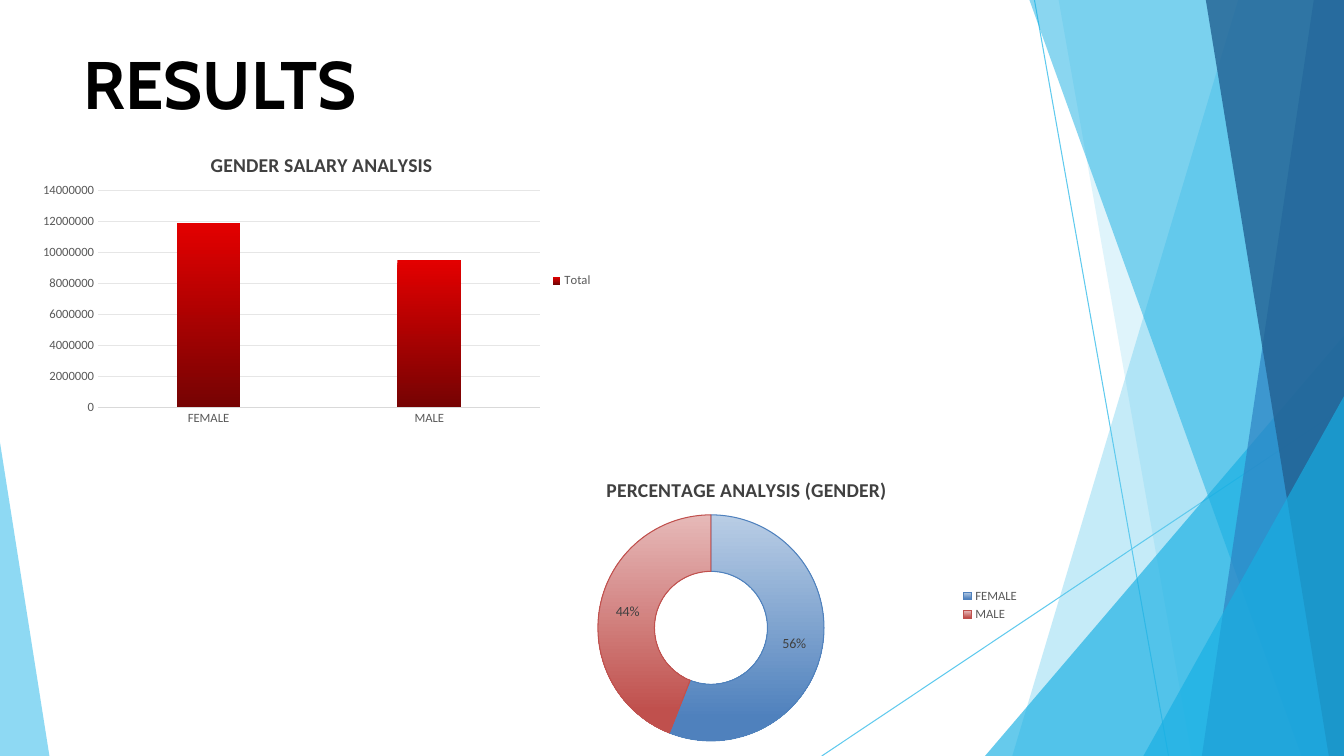
from lxml import etree
from pptx import Presentation
from pptx.chart.data import CategoryChartData
from pptx.dml.color import RGBColor
from pptx.enum.chart import XL_CHART_TYPE, XL_LEGEND_POSITION, XL_TICK_MARK
from pptx.enum.shapes import MSO_CONNECTOR
from pptx.oxml import parse_xml
from pptx.oxml.ns import nsdecls, qn
from pptx.util import Inches, Pt

COLUMN, RING = XL_CHART_TYPE.COLUMN_CLUSTERED, XL_CHART_TYPE.DOUGHNUT
RIGHT, NO_TICK = XL_LEGEND_POSITION.RIGHT, XL_TICK_MARK.NONE
STRAIGHT = MSO_CONNECTOR.STRAIGHT
WIDE, HIGH = 13.33, 7.5

COLORS = {
    "sky": "5FCAEE", "cyan": "17AFE3", "blue": "2D83C3", "navy": "226192",
    "black": "000000", "dark": "404040", "gray": "595959",
    "axis": "D9D9D9", "grid": "E6E6E6", "red": "E30000", "wine": "760303",
    "pale": "B9CDE5", "steel": "4F81BD", "pink": "E6B9B8", "brick": "C0504D",
}
LINES = [(10.26, 0, 11.59, HIGH), (WIDE, 4.04, 8.15, HIGH)]
PANELS = [
    ("sky", 36, [(WIDE, 0), (12.28, 0), (10.04, HIGH), (WIDE, HIGH)]),
    ("sky", 20, [(WIDE, 0), (10.5, 0), (11.82, HIGH), (WIDE, HIGH)]),
    ("cyan", 66, [(WIDE, 3.33), (9.77, HIGH), (WIDE, HIGH)]),
    ("cyan", 50, [(WIDE, 0), (10.21, 0), (12.91, HIGH), (WIDE, HIGH)]),
    ("blue", 70, [(WIDE, 0), (13.03, 0), (11.92, HIGH), (WIDE, HIGH)]),
    ("navy", 80, [(WIDE, 0), (11.96, 0), (13.18, HIGH), (WIDE, HIGH)]),
    ("cyan", 66, [(WIDE, 3.93), (11.34, HIGH), (WIDE, HIGH)]),
    ("sky", 70, [(0, 4.39), (0, HIGH), (0.49, HIGH)]),
]
HEADING = "RESULTS"
GENDERS = ["FEMALE", "MALE"]
SALARY = {
    "kind": COLUMN, "title": "GENDER SALARY ANALYSIS", "series": "Total",
    "values": [11900000, 9500000], "box": (0.29, 1.29, 5.69, 2.99),
    "head": (0.31, 0.06), "plot": (0.12, 0.2, 0.77, 0.72),
}
SHARE = {
    "kind": RING, "title": "PERCENTAGE ANALYSIS (GENDER)", "series": "Series 1",
    "values": [56, 44], "box": (4.57, 4.51, 5.64, 2.99),
    "head": (0.25, 0.06), "plot": (0.24, 0.2, 0.4, 0.75),
}
SLICES = [("pale", "steel"), ("pink", "brick")]


def rgb(name):
    return RGBColor.from_string(COLORS[name])


def style(font, size, color, bold=False, face="Calibri"):
    font.size, font.bold, font.name = Pt(size), bold, face
    font.color.rgb = rgb(color)


def stroke(line, color):
    line.color.rgb = rgb(color)
    line.width = Pt(0.75)


def fade(fill, first, last, end):
    fill.gradient()
    fill.gradient_angle = 270
    for stop, color, place in zip(fill.gradient_stops, (first, last), (0, end)):
        stop.color.rgb = rgb(color)
        stop.position = place


def draw_line(slide, ends):
    line = slide.shapes.add_connector(STRAIGHT, *map(Inches, ends))
    stroke(line.line, "sky")
    etree.SubElement(line._element.spPr, qn("a:effectLst"))


def draw_panel(slide, color, alpha, points):
    spots = [(Inches(x), Inches(y)) for x, y in points]
    pen = slide.shapes.build_freeform(*spots[0])
    pen.add_line_segments(spots[1:], close=True)
    panel = pen.convert_to_shape()
    panel.shadow.inherit = False
    panel.fill.solid()
    panel.fill.fore_color.rgb = rgb(color)
    panel.line.fill.background()
    tint = panel._element.spPr.find(".//" + qn("a:srgbClr"))
    etree.SubElement(tint, qn("a:alpha")).set("val", str(alpha * 1000))


def layout(sizes, inner=False):
    tags = '<c:layoutTarget val="inner"/>' if inner else ""
    tags += "".join(f'<c:{axis}Mode val="edge"/>' for axis in "xy")
    tags += "".join(f'<c:{axis} val="{size}"/>' for axis, size in zip("xywh", sizes))
    return parse_xml(f'<c:layout {nsdecls("c")}><c:manualLayout>{tags}'
                     '</c:manualLayout></c:layout>')


def add_chart(slide, item):
    data = CategoryChartData()
    data.categories = GENDERS
    data.add_series(item["series"], item["values"])
    chart = slide.shapes.add_chart(
        item["kind"], *map(Inches, item["box"]), data).chart
    style(chart.font, 10, "black")
    chart.has_title = True
    frame = chart.chart_title.text_frame
    frame.text = item["title"]
    style(frame.paragraphs[0].runs[0].font, 14, "dark", True)
    chart.has_legend = True
    chart.legend.position = RIGHT
    chart.legend.include_in_layout = False
    style(chart.legend.font, 9, "gray")
    title = chart.chart_title._element
    area = title.getparent().find(qn("c:plotArea"))
    for node in (title, area):
        for old in node.findall(qn("c:layout")):
            node.remove(old)
    title.find(qn("c:tx")).addnext(layout(item["head"]))
    area.insert(0, layout(item["plot"], True))
    plot = chart.plots[0]
    return chart, plot, plot.series[0]


def add_salary(slide):
    chart, plot, total = add_chart(slide, SALARY)
    plot.gap_width, plot.overlap = 246, -28
    plot.vary_by_categories = False
    fade(total.format.fill, "red", "wine", 1)
    for axis in (chart.category_axis, chart.value_axis):
        axis.major_tick_mark = axis.minor_tick_mark = NO_TICK
        style(axis.tick_labels.font, 9, "gray")
    stroke(chart.category_axis.format.line, "axis")
    scale = chart.value_axis
    scale.minimum_scale, scale.maximum_scale = 0, 14000000
    scale.major_unit = 2000000
    scale.format.line.fill.background()
    stroke(scale.major_gridlines.format.line, "grid")


def add_share(slide):
    chart, plot, share = add_chart(slide, SHARE)
    plot.vary_by_categories = True
    for i, (light, deep) in enumerate(SLICES):
        look = share.points[i].format
        fade(look.fill, light, deep, 0.9)
        stroke(look.line, deep)
    labels = share.data_labels
    labels.show_percentage, labels.show_value = True, False
    labels.number_format, labels.number_format_is_linked = "0%", False
    style(labels.font, 10, "dark")


def add_heading(slide):
    box = slide.shapes.add_textbox(*map(Inches, (0.83, 0.42, 11.68, 0.81)))
    frame = box.text_frame
    frame.word_wrap = True
    frame.margin_left = frame.margin_right = 0
    frame.margin_top = frame.margin_bottom = 0
    frame.text = HEADING
    style(frame.paragraphs[0].runs[0].font, 48, "black", True, "Cabin")


def main():
    """Build the results slide with its two gender charts."""
    deck = Presentation()
    deck.slide_width, deck.slide_height = Inches(WIDE), Inches(HIGH)
    slide = deck.slides.add_slide(deck.slide_layouts[6])
    for ends in LINES:
        draw_line(slide, ends)
    for panel in PANELS:
        draw_panel(slide, *panel)
    add_heading(slide)
    add_salary(slide)
    add_share(slide)
    deck.save("out.pptx")


if __name__ == "__main__":
    main()
